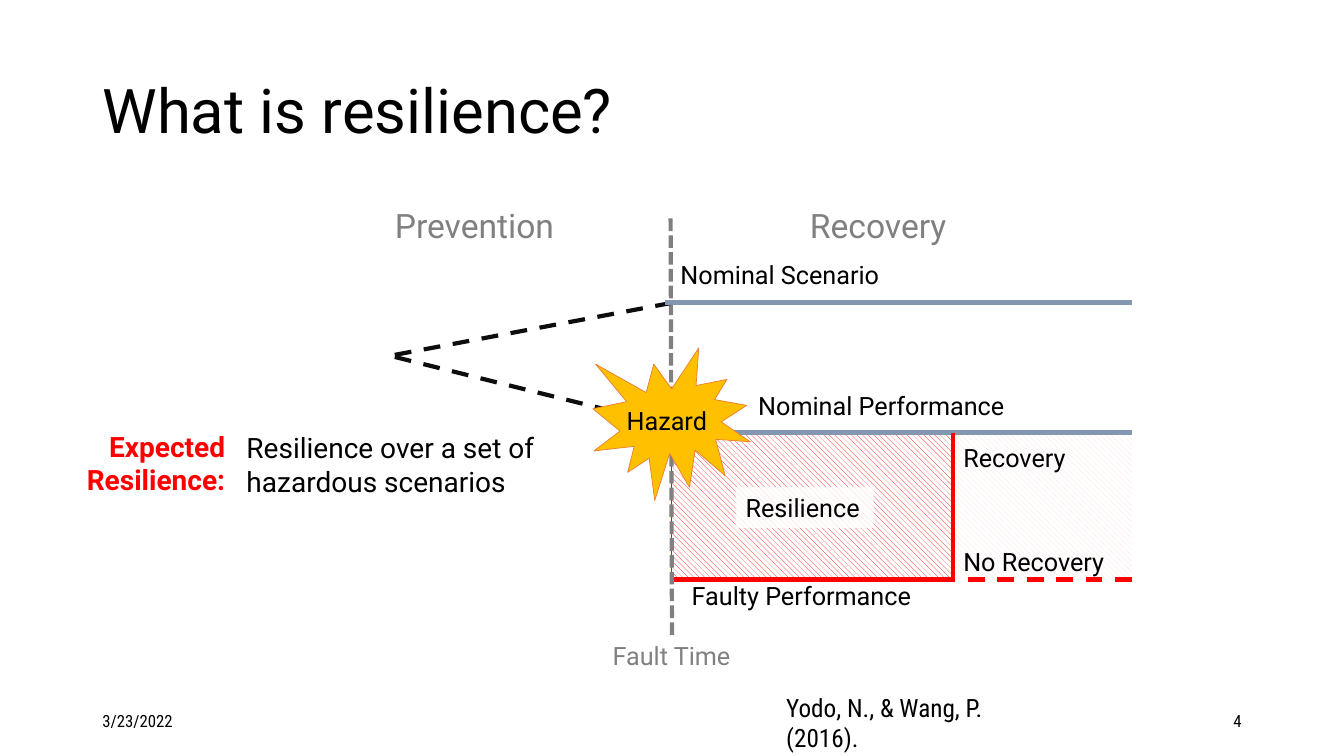
from lxml import etree
from pptx import Presentation
from pptx.dml.color import RGBColor
from pptx.enum.dml import MSO_LINE, MSO_PATTERN
from pptx.enum.shapes import MSO_CONNECTOR, MSO_SHAPE
from pptx.enum.text import MSO_ANCHOR, PP_ALIGN
from pptx.oxml.ns import qn
from pptx.util import Pt

STRAIGHT = MSO_CONNECTOR.STRAIGHT
DASH, SQUARE_DASH = MSO_LINE.DASH, MSO_LINE.SQUARE_DOT
RECTANGLE, BURST = MSO_SHAPE.RECTANGLE, MSO_SHAPE.EXPLOSION1
HATCH = MSO_PATTERN.WIDE_DOWNWARD_DIAGONAL
MIDDLE, TOP = MSO_ANCHOR.MIDDLE, MSO_ANCHOR.TOP
LEFT, RIGHT = PP_ALIGN.LEFT, PP_ALIGN.RIGHT

BLACK = RGBColor(0x00, 0x00, 0x00)
WHITE = RGBColor(0xFF, 0xFF, 0xFF)
NEAR_BLACK = RGBColor(0x0D, 0x0D, 0x0D)
GRAY = RGBColor(0x80, 0x80, 0x80)
RED = RGBColor(0xFF, 0x00, 0x00)
PALE_RED = RGBColor(0xFF, 0xD9, 0xD9)
STEEL = RGBColor(0x84, 0x97, 0xB0)
BLUE = RGBColor(0x44, 0x72, 0xC4)
GOLD = RGBColor(0xFF, 0xC0, 0x00)
ORANGE = RGBColor(0xED, 0x7D, 0x31)
ROBOTO, CONDENSED = "Roboto", "Roboto Condensed"

# Shared coordinates of the diagram, in points
FORK_X, FORK_Y = 282, 254
FAULT_X, RECOVERY_X, END_X = 479.5, 681, 808.5
SCENARIO_Y, NOMINAL_Y, FAULTY_Y = 216, 309, 414

prs = Presentation()
prs.slide_width, prs.slide_height = Pt(960), Pt(540)
slide = prs.slides.add_slide(prs.slide_layouts[5])
shapes = slide.shapes


def add_label(text, left, top, width, height=29, size=18, color=BLACK, font=ROBOTO,
              align=LEFT, anchor=TOP, wrap=True, bold=False, veiled=False):
    """Add a text box; a veiled one has a translucent white fill."""
    label = shapes.add_textbox(Pt(left), Pt(top), Pt(width), Pt(height))
    frame = label.text_frame
    frame.word_wrap = wrap
    frame.vertical_anchor = anchor
    frame.text = text
    for paragraph in frame.paragraphs:
        paragraph.alignment = align
        for run in paragraph.runs:
            run.font.name, run.font.size = font, Pt(size)
            run.font.bold = bold
            run.font.color.rgb = color
    if veiled:
        label.fill.solid()
        label.fill.fore_color.rgb = WHITE
        fill_color = label.fill._xPr.find(qn("a:solidFill"))[0]
        etree.SubElement(fill_color, qn("a:alpha"), val="80000")
    return label


def add_line(x1, y1, x2, y2, color, width=3, dash=None):
    line = shapes.add_connector(STRAIGHT, Pt(x1), Pt(y1), Pt(x2), Pt(y2))
    line.line.color.rgb = color
    line.line.width = Pt(width)
    if dash:
        line.line.dash_style = dash
    etree.SubElement(line._element.spPr, qn("a:effectLst"))
    return line


title = shapes.title
title.left, title.top, title.width, title.height = Pt(66), Pt(29), Pt(828), Pt(104)
title.text_frame.text = "What is resilience?"
title.text_frame.vertical_anchor = MIDDLE
heading = title.text_frame.paragraphs[0]
heading.alignment = LEFT
heading.line_spacing = 0.9
heading.runs[0].font.name = ROBOTO
heading.runs[0].font.size = Pt(44)
heading.runs[0].font.color.rgb = BLACK

# Hazardous branch and performance areas
add_line(FORK_X, FORK_Y + 1, 479, 304, NEAR_BLACK, dash=DASH)
for left, right, hatch_color, outline in [
    (RECOVERY_X, END_X, PALE_RED, None),
    (FAULT_X, RECOVERY_X, RED, BLUE),
]:
    area = shapes.add_shape(RECTANGLE, Pt(left), Pt(NOMINAL_Y),
                            Pt(right - left), Pt(FAULTY_Y - NOMINAL_Y))
    area.shadow.inherit = False
    area.fill.patterned()
    area.fill.pattern = HATCH
    area.fill.fore_color.rgb = hatch_color
    area.fill.back_color.rgb = WHITE
    if outline:
        area.line.color.rgb = outline
        area.line.width = Pt(0.5)
    else:
        area.line.fill.background()

add_line(452, NOMINAL_Y, END_X, NOMINAL_Y, STEEL)
add_line(FAULT_X, NOMINAL_Y, FAULT_X, FAULTY_Y, RED, width=1)
add_line(FAULT_X, FAULTY_Y, RECOVERY_X, FAULTY_Y, RED)
add_line(RECOVERY_X, FAULTY_Y, RECOVERY_X, NOMINAL_Y, RED)

fault_time = add_label("Fault Time", 430.5, 453.5, 99, color=GRAY, wrap=False)
fault_line = add_line(480, 453.5, 479, 155, GRAY, dash=SQUARE_DASH)
fault_line.begin_connect(fault_time, 0)

hazard = shapes.add_shape(BURST, Pt(423.5), Pt(248.5), Pt(112.5), Pt(109))
hazard.shadow.inherit = False
hazard.fill.solid()
hazard.fill.fore_color.rgb = GOLD
hazard.line.color.rgb = ORANGE
hazard.line.width = Pt(0.5)

# Diagram labels
add_label("Nominal Performance", 534.5, 275, 232)
add_label("Faulty Performance", 487, 411, 175.5, wrap=False)
add_label("Recovery", RECOVERY_X, 312.5, 94.5)
add_line(END_X, FAULTY_Y, RECOVERY_X, FAULTY_Y, RED, dash=DASH)
add_label("No Recovery", RECOVERY_X, 386.5, 118, wrap=False)
for phase, left, width in [("Prevention", 275, 132.5), ("Recovery", 571.5, 116)]:
    add_label(phase, left, 142.5, width, 36, size=24, color=GRAY, wrap=False)
add_label("Yodo, N., & Wang, P. (2016).", 554.5, 491, 175, font=CONDENSED)
add_label("Resilience", 525.5, 348, 98.5, wrap=False, veiled=True)
add_label("Hazard", 440.5, 286, 78.5)

# Nominal branch
add_line(FORK_X, FORK_Y - 0.5, 479, 216.5, NEAR_BLACK, dash=DASH)
add_line(475, SCENARIO_Y, END_X, SCENARIO_Y, STEEL)
add_label("Nominal Scenario", 479, 182, 232)

# Definition
add_label("Expected\nResilience:", 45.5, 303, 122.5, 55.5, size=20, color=RED,
          align=RIGHT, bold=True, veiled=True)
add_label("Resilience over a set of hazardous scenarios", 169, 304, 241, 55.5,
          size=20, veiled=True)

# Footer
for footer, left, align in [("3/23/2022", 66, LEFT), ("4", 678, RIGHT)]:
    add_label(footer, left, 500.5, 216, size=12, font=CONDENSED, align=align, anchor=MIDDLE)

prs.save("out.pptx")
